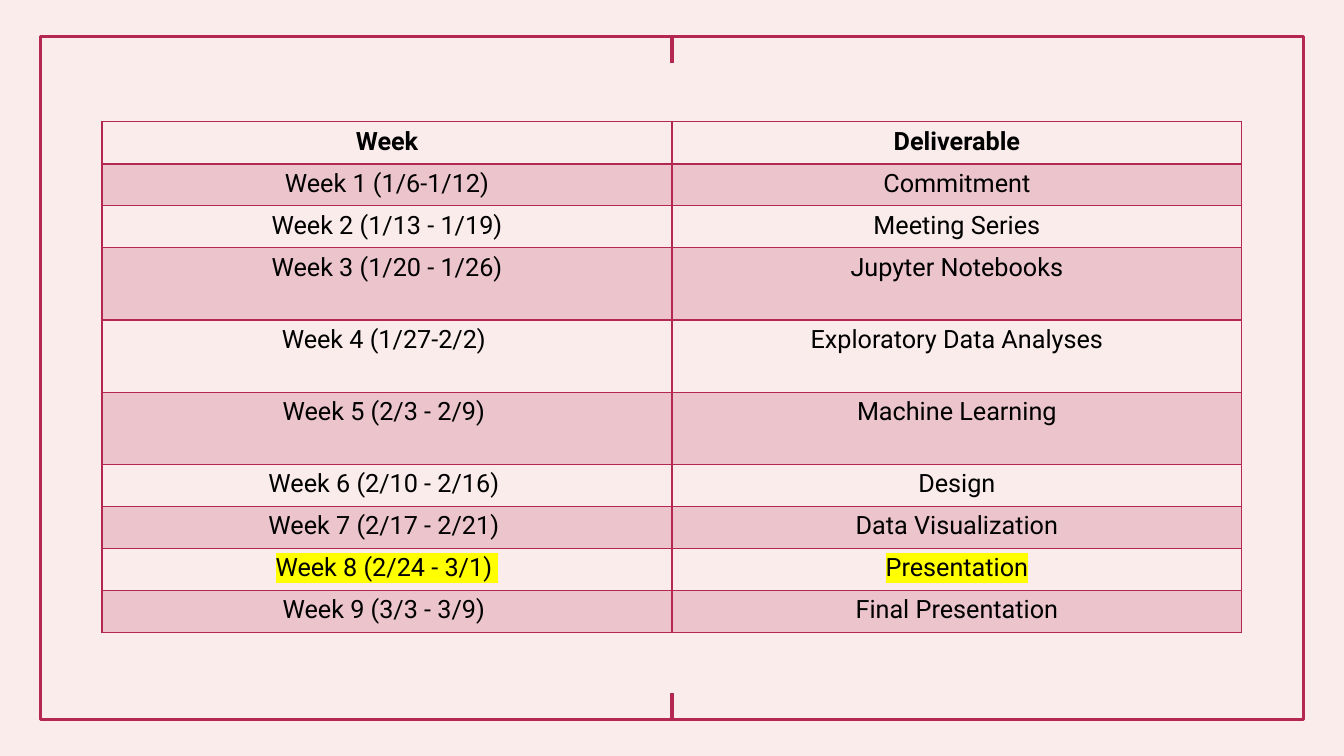
from lxml.etree import SubElement
from pptx import Presentation
from pptx.dml.color import RGBColor
from pptx.enum.shapes import MSO_CONNECTOR as Connector, MSO_SHAPE as Shape
from pptx.enum.text import PP_ALIGN as Align
from pptx.oxml import parse_xml
from pptx.oxml.ns import nsdecls, qn
from pptx.util import Inches, Pt

COLORS = {"paper": "FAECEB", "accent": "B32752", "text": "000000", "marker": "FFFF00"}
FONT, TEXT_SIZE = "Roboto", 18
GRID_COLUMNS, GRID_ROWS = 32, 18
FRAME_X, FRAME_Y, TICK = 0.96, 0.86, 0.65
TABLE_X, TABLE_Y = 2.43, 2.9
TALL_ROW = 1.72

HEADER = ("Week", "Deliverable")
SCHEDULE = [
    ("Week 1 (1/6-1/12)", "Commitment"),
    ("Week 2 (1/13 - 1/19)", "Meeting Series"),
    ("Week 3 (1/20 - 1/26)", "Jupyter Notebooks"),
    ("Week 4 (1/27-2/2) ", "Exploratory Data Analyses"),
    ("Week 5 (2/3 - 2/9) ", "Machine Learning"),
    ("Week 6 (2/10 - 2/16) ", "Design"),
    ("Week 7 (2/17 - 2/21) ", "Data Visualization"),
    ("Week 8 (2/24 - 3/1) ", "Presentation"),
    ("Week 9 (3/3 - 3/9) ", "Final Presentation"),
]
TALL_WEEKS = {3, 4, 5}
CURRENT_WEEK = 8


def rgb(name):
    return RGBColor.from_string(COLORS[name])


class Page:
    """One slide measured in grid columns and rows."""

    def __init__(self, deck):
        self.slide = deck.slides.add_slide(deck.slide_layouts[6])
        self.column = deck.slide_width / GRID_COLUMNS
        self.row = deck.slide_height / GRID_ROWS
        background = self.slide.background.fill
        background.solid()
        background.fore_color.rgb = rgb("paper")

    def x(self, columns):
        return round(columns * self.column)

    def y(self, rows):
        return round(rows * self.row)

    def outline(self, shape):
        shape.line.color.rgb = rgb("accent")
        shape.line.width = Pt(2.25)

    def frame(self, left, top, width, height):
        box = self.slide.shapes.add_shape(
            Shape.RECTANGLE, self.x(left), self.y(top), self.x(width), self.y(height))
        box.shadow.inherit = False
        box.fill.background()
        self.outline(box)

    def tick(self, column, start, end):
        line = self.slide.shapes.add_connector(
            Connector.STRAIGHT, self.x(column), self.y(start), self.x(column), self.y(end))
        self.outline(line)
        SubElement(line._element.spPr, qn("a:effectLst"))

    def table(self, left, top, width, heights, rows):
        table = self.slide.shapes.add_table(
            len(rows), len(rows[0]), self.x(left), self.y(top),
            self.x(width), self.y(sum(heights))).table
        table.horz_banding = False
        for column in table.columns:
            column.width = self.x(width / len(rows[0]))
        for week, (height, texts) in enumerate(zip(heights, rows)):
            table.rows[week].height = self.y(height)
            for index, text in enumerate(texts):
                cell = table.cell(week, index)
                self.label(cell, text, week == 0, week == CURRENT_WEEK)
                self.shade(cell, week % 2 == 1)
                self.border(cell, top=2 if week == 1 else 1, bottom=2 if week == 0 else 1)

    def label(self, cell, text, bold, marked):
        cell.text_frame.text = text
        para = cell.text_frame.paragraphs[0]
        para.alignment = Align.CENTER
        span = para.runs[0]
        font = span.font
        font.name, font.size, font.bold = FONT, Pt(TEXT_SIZE), bold
        font.color.rgb = rgb("text")
        if marked:
            # The schema wants the highlight right after the text fill.
            span._r.rPr.find(qn("a:solidFill")).addnext(parse_xml(
                f'<a:highlight {nsdecls("a")}><a:srgbClr val="{COLORS["marker"]}"/></a:highlight>'))

    def shade(self, cell, tinted):
        if not tinted:
            cell.fill.background()
            return
        cell.fill.solid()
        cell.fill.fore_color.rgb = rgb("accent")
        color = cell._tc.tcPr.find(".//" + qn("a:srgbClr"))
        SubElement(color, qn("a:alpha"), val="20000")

    def border(self, cell, top, bottom):
        """Draw all four edges, with top and bottom widths in points."""
        for index, (side, width) in enumerate(zip("LRTB", (1, 1, top, bottom))):
            cell._tc.tcPr.insert(index, parse_xml(
                f'<a:ln{side} {nsdecls("a")} w="{Pt(width)}"><a:solidFill>'
                f'<a:srgbClr val="{COLORS["accent"]}"/></a:solidFill></a:ln{side}>'))


def main():
    deck = Presentation()
    deck.slide_width, deck.slide_height = Inches(13.33), Inches(7.5)
    page = Page(deck)

    bottom = GRID_ROWS - FRAME_Y
    page.frame(FRAME_X, FRAME_Y, GRID_COLUMNS - 2 * FRAME_X, bottom - FRAME_Y)
    page.tick(GRID_COLUMNS / 2, bottom, bottom - TICK)
    page.tick(GRID_COLUMNS / 2, FRAME_Y + TICK, FRAME_Y)

    rows = [HEADER, *SCHEDULE]
    heights = [TALL_ROW if week in TALL_WEEKS else 1 for week in range(len(rows))]
    page.table(TABLE_X, TABLE_Y, GRID_COLUMNS - 2 * TABLE_X, heights, rows)
    deck.save("out.pptx")


if __name__ == "__main__":
    main()
